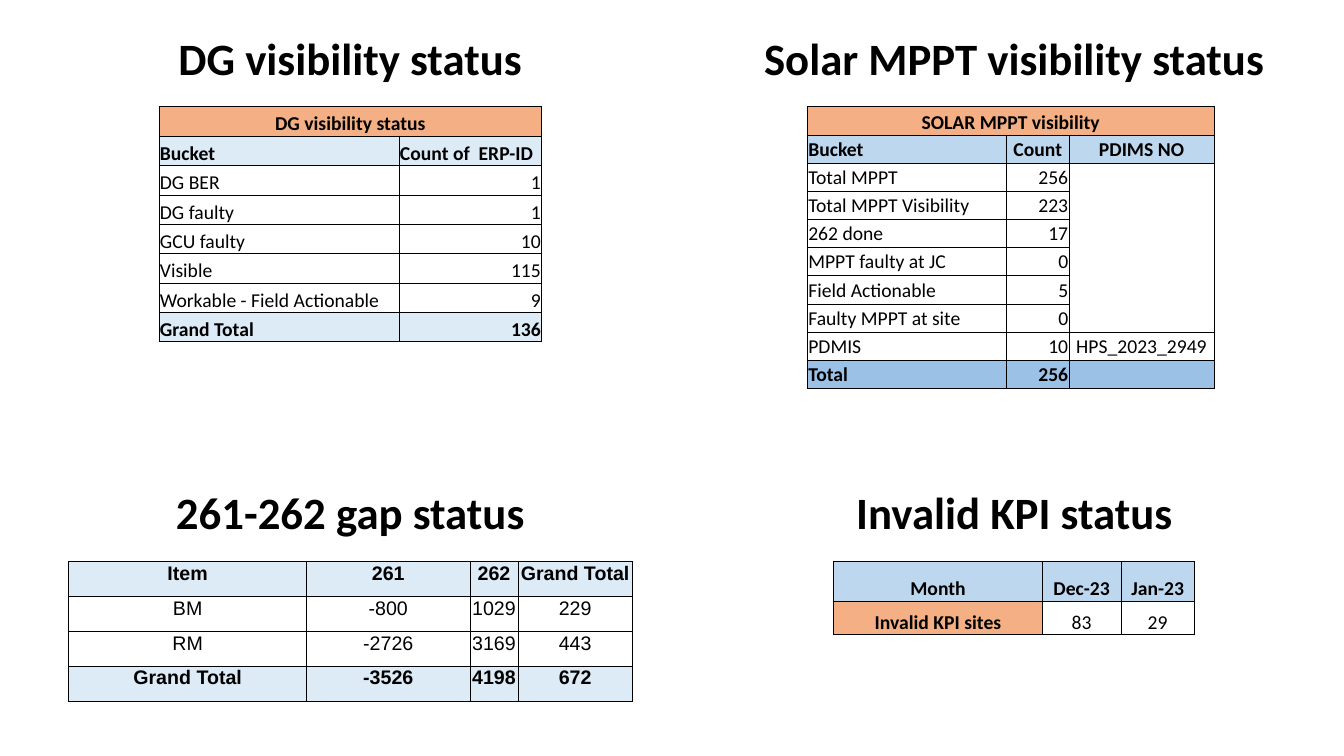
import pptx
import pptx.util
import pptx.dml.color
import pptx.enum.text
import pptx.oxml
import pptx.oxml.ns

Cm, Pt = pptx.util.Cm, pptx.util.Pt
RGB = pptx.dml.color.RGBColor.from_string
ALIGN = pptx.enum.text.PP_ALIGN
ANCHOR = pptx.enum.text.MSO_ANCHOR

THEME = {
    "ink": "000000",
    "fills": {"o": "F4B084", "p": "DDEBF7", "b": "BDD7EE", "d": "9BC2E6"},
    "title_font": "Calibri",
    "title_size": 32,
    "cell_size": 14,
    "border": 0.5,
}
ALIGNS = {"l": ALIGN.LEFT, "c": ALIGN.CENTER, "r": ALIGN.RIGHT}


def write(p, text, align, size, name, bold):
    p.alignment = ALIGNS[align]
    if not text:
        end = pptx.oxml.parse_xml(f'<a:endParaRPr {pptx.oxml.ns.nsdecls("a")} sz="{size * 100}"/>')
        p._p.append(end)
        return
    r = p.add_run()
    r.text = text
    for key, value in {"size": Pt(size), "name": name, "bold": bold}.items():
        setattr(r.font, key, value)
    r.font.color.rgb = RGB(THEME["ink"])


def add_borders(cell):
    tcPr = cell._tc.get_or_add_tcPr()
    for side in "LRTB":
        tcPr.append(pptx.oxml.parse_xml(
            f'<a:ln{side} {pptx.oxml.ns.nsdecls("a")} w="{Pt(THEME["border"])}">'
            f'<a:solidFill><a:srgbClr val="{THEME["ink"]}"/></a:solidFill></a:ln{side}>'))


prs = pptx.Presentation()
prs.slide_width, prs.slide_height = Cm(33.87), Cm(19.05)
s = prs.slides.add_slide(prs.slide_layouts[6])

titles = [
    ("DG visibility status", 3.38, 0.38, 10.9),
    ("Solar MPPT visibility status", 19, 0.38, 13.13),
    ("261-262 gap status", 3.38, 11.84, 10.9),
    ("Invalid KPI status", 19, 11.84, 13.13),
]
for text, left, top, width in titles:
    tf = s.shapes.add_textbox(Cm(left), Cm(top), Cm(width), Cm(2.29)).text_frame
    for key, value in {"word_wrap": True, "vertical_anchor": ANCHOR.MIDDLE}.items():
        setattr(tf, key, value)
    p = tf.paragraphs[0]
    p.line_spacing = 0.9
    write(p, text, "c", THEME["title_size"], THEME["title_font"], True)

tables = [
    {
        "at": (4.01, 2.69), "cols": [6.05, 3.59], "heights": [0.74] * 8,
        "font": "Calibri", "anchor": ANCHOR.BOTTOM, "merges": [(0, 0, 0, 1)],
        "rows": [
            ("oo", "cc", ["DG visibility status", ""]),
            ("pp", "ll", ["Bucket", "Count of  ERP-ID"]),
            ("--", "lr", ["DG BER", "1"]),
            ("--", "lr", ["DG faulty", "1"]),
            ("--", "lr", ["GCU faulty", "10"]),
            ("--", "lr", ["Visible", "115"]),
            ("--", "lr", ["Workable - Field Actionable", "9"]),
            ("pp", "lr", ["Grand Total", "136"]),
        ],
    },
    {
        "at": (20.35, 2.69), "cols": [5.02, 1.57, 3.66], "heights": [0.71] * 10,
        "font": "Calibri", "anchor": ANCHOR.MIDDLE, "merges": [(0, 0, 0, 2), (2, 2, 7, 2)],
        "rows": [
            ("ooo", "ccc", ["SOLAR MPPT visibility", "", ""]),
            ("bbb", "lcc", ["Bucket", "Count", "PDIMS NO"]),
            ("---", "lrc", ["Total MPPT", "256", ""]),
            ("---", "lrc", ["Total MPPT Visibility", "223", ""]),
            ("---", "lrc", ["262 done", "17", ""]),
            ("---", "lrc", ["MPPT faulty at JC", "0", ""]),
            ("---", "lrc", ["Field Actionable", "5", ""]),
            ("---", "lrc", ["Faulty MPPT at site", "0", ""]),
            ("---", "lrc", ["PDMIS", "10", "HPS_2023_2949"]),
            ("ddd", "lrc", ["Total", "256", ""]),
        ],
    },
    {
        "at": (1.73, 14.15), "cols": [6, 4.11, 1.22, 2.87], "heights": [0.88] * 4,
        "font": "Arial", "anchor": ANCHOR.TOP, "merges": [],
        "rows": [
            ("pppp", "cccc", ["Item", "261", "262", "Grand Total"]),
            ("----", "cccc", ["BM", "-800", "1029", "229"]),
            ("----", "cccc", ["RM", "-2726", "3169", "443"]),
            ("pppp", "cccc", ["Grand Total", "-3526", "4198", "672"]),
        ],
    },
    {
        "at": (21.01, 14.15), "cols": [5.26, 1.98, 1.85], "heights": [0.99, 0.85],
        "font": "Calibri", "anchor": ANCHOR.BOTTOM, "merges": [],
        "rows": [
            ("bbb", "ccc", ["Month", "Dec-23", "Jan-23"]),
            ("o--", "ccc", ["Invalid KPI sites", "83", "29"]),
        ],
    },
]
for table in tables:
    cols, heights = table["cols"], table["heights"]
    left, top = table["at"]
    tbl = s.shapes.add_table(len(heights), len(cols), Cm(left), Cm(top),
                             Cm(sum(cols)), Cm(sum(heights))).table
    tbl.first_row = tbl.horz_banding = False
    for col, width in zip(tbl.columns, cols):
        col.width = Cm(width)
    for row, height, (fills, aligns, texts) in zip(tbl.rows, heights, table["rows"]):
        row.height = Cm(height)
        for cell, key, align, text in zip(row.cells, fills, aligns, texts):
            cell_format = {
                "margin_left": Cm(0.02), "margin_right": Cm(0.02), "margin_top": Cm(0.02),
                "margin_bottom": 0,
                "vertical_anchor": table["anchor"],
            }
            for name, value in cell_format.items():
                setattr(cell, name, value)
            add_borders(cell)
            filled = key in THEME["fills"]
            if filled:
                cell.fill.solid()
                cell.fill.fore_color.rgb = RGB(THEME["fills"][key])
            else:
                cell.fill.background()
            write(cell.text_frame.paragraphs[0], text, align, THEME["cell_size"],
                  table["font"], filled)
    for r0, c0, r1, c1 in table["merges"]:
        tbl.cell(r0, c0).merge(tbl.cell(r1, c1))
        tbl.cell(r0, c0).vertical_anchor = ANCHOR.BOTTOM

prs.save("out.pptx")
